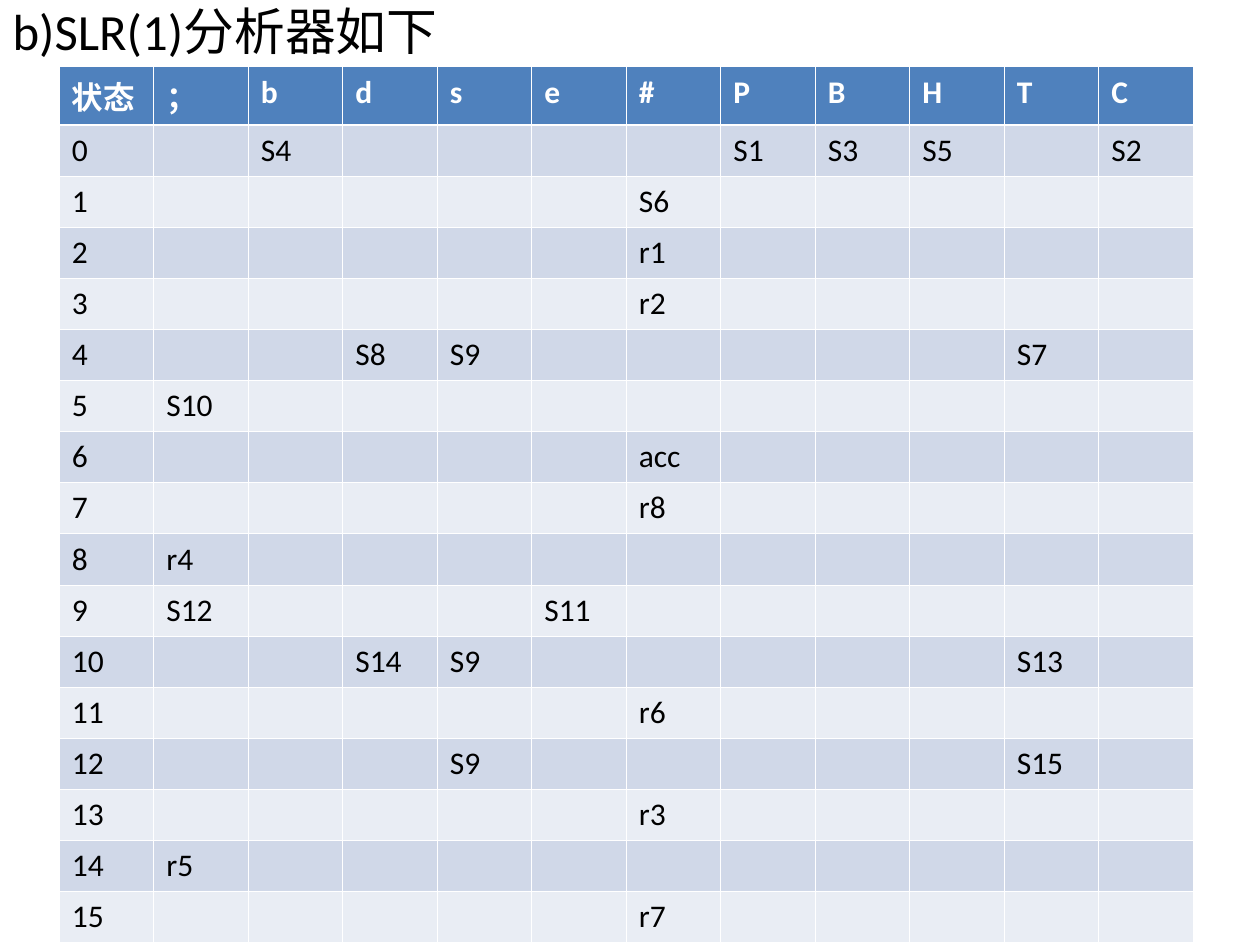
from dataclasses import dataclass

from lxml import etree
from pptx import Presentation, util as u
from pptx.dml.color import RGBColor
from pptx.enum import text
from pptx.oxml.ns import qn


@dataclass(frozen=True)
class Theme:
    font: str = "Calibri"
    title: float = 29
    body: float = 18
    thin: float = 0.45
    thick: float = 1.47
    ink: str = "000000"
    white: str = "FFFFFF"
    head: str = "4F81BD"
    bands: tuple = ("E9EDF4", "D0D8E8")


HEADS = ["状态", "；", "b", "d", "s", "e", "#", "P", "B", "H", "T", "C"]
ACTIONS = [
    {"b": "S4", "P": "S1", "B": "S3", "H": "S5", "C": "S2"},
    {"#": "S6"},
    {"#": "r1"},
    {"#": "r2"},
    {"d": "S8", "s": "S9", "T": "S7"},
    {"；": "S10"},
    {"#": "acc"},
    {"#": "r8"},
    {"；": "r4"},
    {"；": "S12", "e": "S11"},
    {"d": "S14", "s": "S9", "T": "S13"},
    {"#": "r6"},
    {"s": "S9", "T": "S15"},
    {"#": "r3"},
    {"；": "r5"},
    {"#": "r7"},
]


class Deck:
    def __init__(self, theme):
        self.theme = theme
        self.prs = Presentation()
        self.prs.slide_width, self.prs.slide_height = u.Inches(10), u.Inches(7.5)
        self.slide = self.prs.slides.add_slide(self.prs.slide_layouts[5])

    def style(self, para, size, color, bold=False):
        font = para.font
        font.name, font.size, font.bold = self.theme.font, u.Pt(size), bold
        font.color.rgb = RGBColor.from_string(color)
        para.alignment = text.PP_ALIGN.LEFT

    def title(self, words, *box):
        shape = self.slide.shapes.title
        shape.left, shape.top, shape.width, shape.height = map(u.Inches, box)
        frame = shape.text_frame
        frame.text = words
        frame.auto_size = text.MSO_AUTO_SIZE.NONE
        frame.vertical_anchor = text.MSO_ANCHOR.MIDDLE
        self.style(frame.paragraphs[0], self.theme.title, self.theme.ink)

    def edges(self, cell, row):
        """Draw white borders, heavier between the header and the body."""
        props = cell._tc.get_or_add_tcPr()
        heavy = {0: "lnB", 1: "lnT"}.get(row)
        for spot, side in enumerate(("lnL", "lnR", "lnT", "lnB")):
            width = self.theme.thick if side == heavy else self.theme.thin
            line = etree.Element(qn(f"a:{side}"), w=str(u.Pt(width)))
            fill = etree.SubElement(line, qn("a:solidFill"))
            etree.SubElement(fill, qn("a:srgbClr"), val=self.theme.white)
            props.insert(spot, line)

    def cell(self, cell, words, row):
        theme, head = self.theme, row == 0
        cell.text = words
        cell.fill.solid()
        color = theme.head if head else theme.bands[row % 2]
        cell.fill.fore_color.rgb = RGBColor.from_string(color)
        self.style(cell.text_frame.paragraphs[0], theme.body,
                   theme.white if head else theme.ink, head)
        self.edges(cell, row)

    def table(self, rows, *box):
        frame = self.slide.shapes.add_table(
            len(rows), len(rows[0]), *map(u.Inches, box))
        for r, row in enumerate(rows):
            for c, words in enumerate(row):
                self.cell(frame.table.cell(r, c), words, r)


def main():
    deck = Deck(Theme())
    deck.title("b)SLR(1)分析器如下", 0, 0, 9, 0.48)
    # Each state's row is numbered by its place in the list.
    body = [[str(state)] + [acts.get(head, "") for head in HEADS[1:]]
            for state, acts in enumerate(ACTIONS)]
    # Bands alternate from the darker tint on state 0.
    deck.table([HEADS] + body, 0.47, 0.53, 9, 6.89)
    deck.prs.save("out.pptx")


if __name__ == "__main__":
    main()
